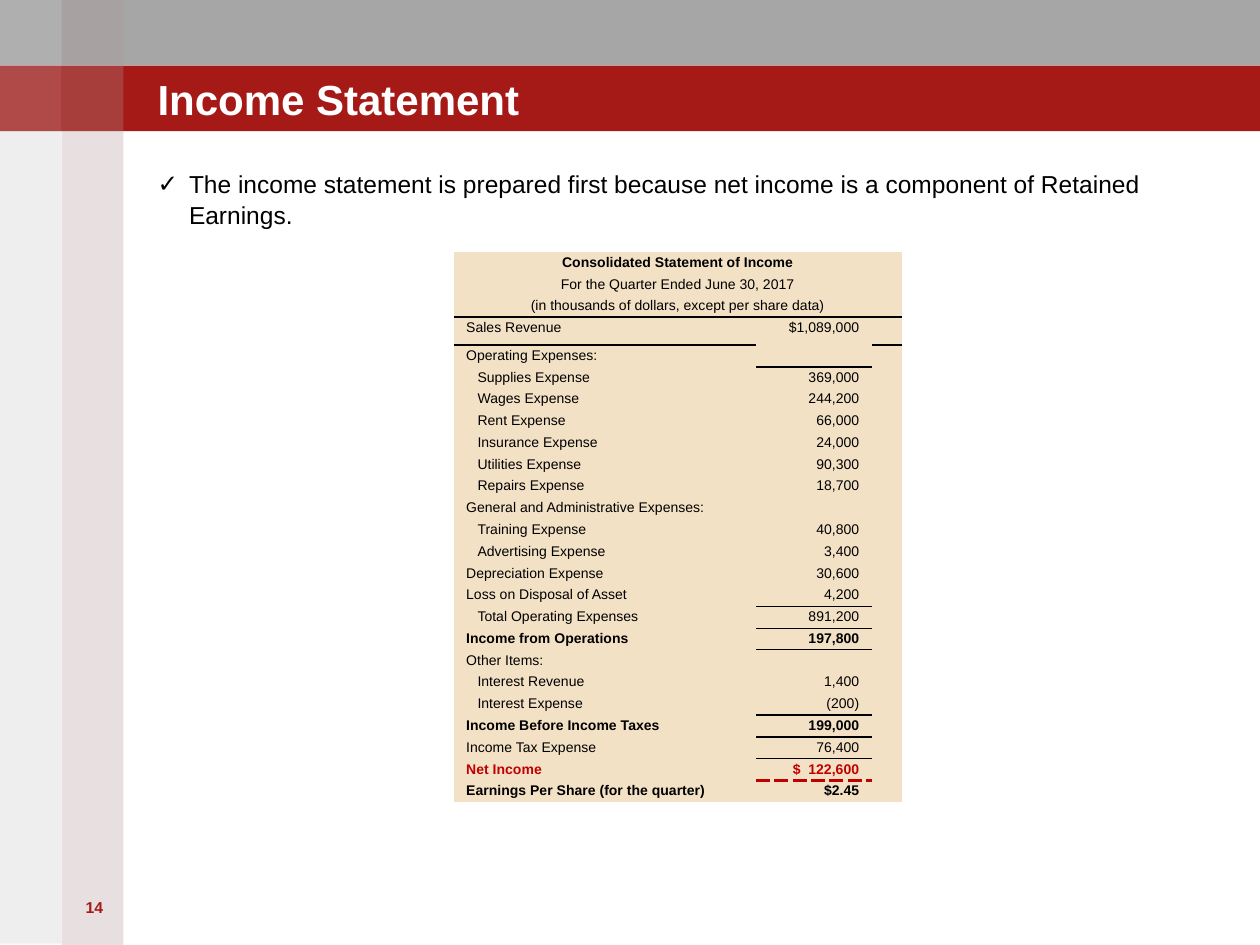
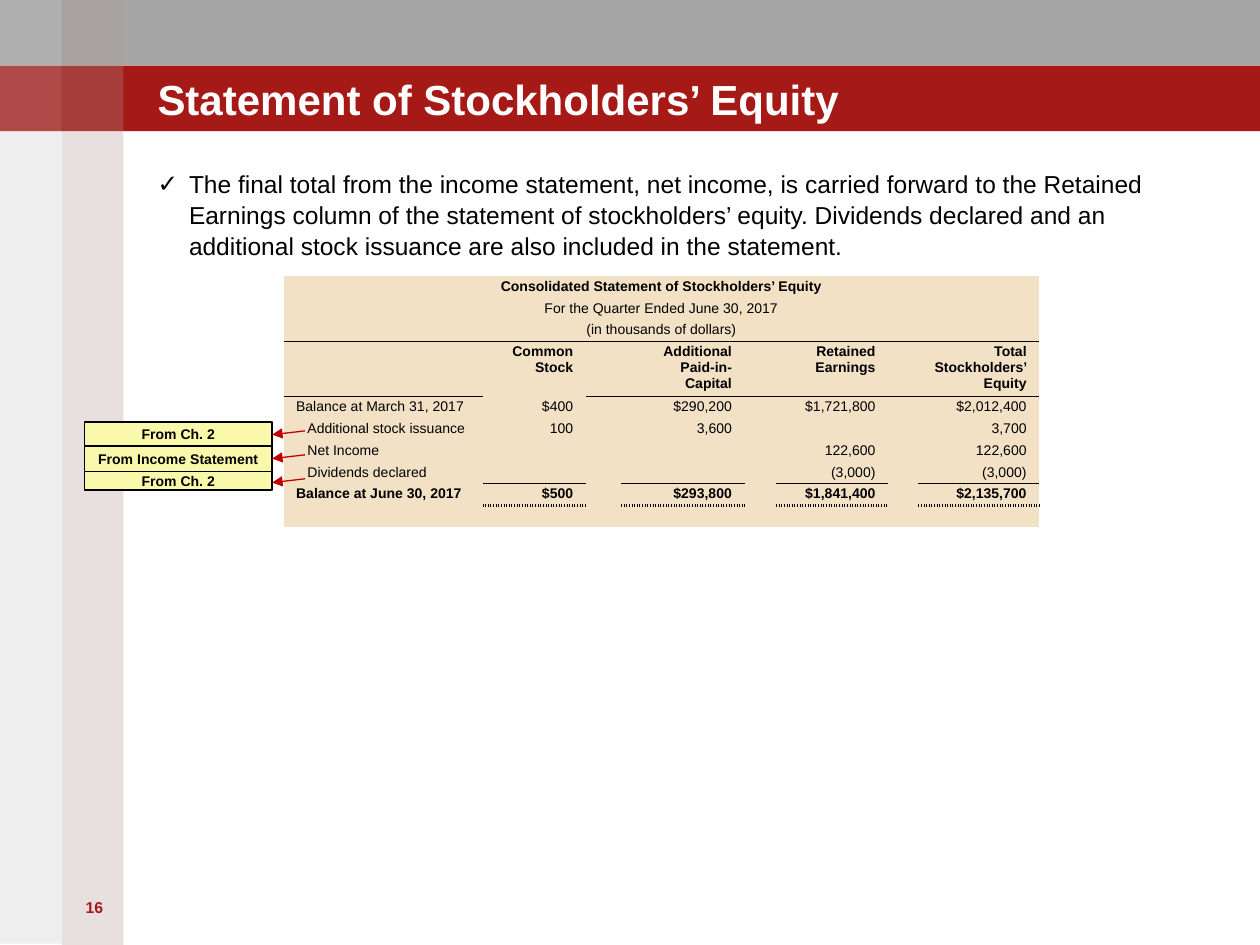
"""Builds two slides with an income statement and a statement of stockholders' equity."""
import pptx
import pptx.dml.color
import pptx.enum.shapes
import pptx.enum.text
import pptx.oxml.ns
import pptx.util
from lxml import etree

Inches = pptx.util.Inches
Pt = pptx.util.Pt
RGBColor = pptx.dml.color.RGBColor
qn = pptx.oxml.ns.qn
ALIGN = pptx.enum.text.PP_ALIGN
ANCHOR = pptx.enum.text.MSO_ANCHOR
RECT = pptx.enum.shapes.MSO_SHAPE.RECTANGLE

GREY = RGBColor(0xA6, 0xA6, 0xA6)
RED = RGBColor(0xA5, 0x1A, 0x17)
ROSE = RGBColor(0xA0, 0x82, 0x84)
ASH = RGBColor(0x93, 0x8F, 0x8F)
WHITE = RGBColor(0xFF, 0xFF, 0xFF)
BLACK = RGBColor(0, 0, 0)
SAND = RGBColor(0xF3, 0xE1, 0xC6)
YELLOW = RGBColor(0xFA, 0xF8, 0xAA)
ALERT = RGBColor(0xC0, 0, 0)
PLAIN = "{2D5ABB26-0587-4C30-8999-92F81FD0307C}"


def write(frame, text, size=8, bold=False, color=BLACK, align=ALIGN.LEFT,
          anchor=ANCHOR.TOP):
    """Put one formatted paragraph into a text frame."""
    frame.vertical_anchor = anchor
    para = frame.paragraphs[0]
    para.alignment = align
    if not text:
        etree.SubElement(para._p, qn("a:endParaRPr"), sz=str(size * 100))
        return para
    run = para.add_run()
    run.text = text
    run.font.name = "Arial"
    run.font.size = Pt(size)
    run.font.bold = bold
    run.font.color.rgb = color
    return para


def rule(cell, color, width, dash):
    """Draw the bottom border of a table cell."""
    line = etree.Element(qn("a:lnB"), w=str(Pt(width)))
    fill = etree.SubElement(line, qn("a:solidFill"))
    etree.SubElement(fill, qn("a:srgbClr"), val=str(color))
    etree.SubElement(line, qn("a:prstDash"), val=dash)
    cell._tc.get_or_add_tcPr().insert(0, line)


income = [
    ["Consolidated Statement of Income"],
    ["For the Quarter Ended June 30, 2017"],
    ["(in thousands of dollars, except per share data)"],
    ["Sales Revenue", "$1,089,000"],
    ["Operating Expenses:"],
    ["Supplies Expense", "369,000"],
    ["Wages Expense", "244,200"],
    ["Rent Expense", "66,000"],
    ["Insurance Expense", "24,000"],
    ["Utilities Expense", "90,300"],
    ["Repairs Expense", "18,700"],
    ["General and Administrative Expenses:"],
    ["Training Expense", "40,800"],
    ["Advertising Expense", "3,400"],
    ["Depreciation Expense", "30,600"],
    ["Loss on Disposal of Asset", "4,200"],
    ["Total Operating Expenses", "891,200"],
    ["Income from Operations", "197,800"],
    ["Other Items:"],
    ["Interest Revenue", "1,400"],
    ["Interest Expense", "(200)"],
    ["Income Before Income Taxes", "199,000"],
    ["Income Tax Expense", "76,400"],
    ["Net Income", "$  122,600"],
    ["Earnings Per Share (for the quarter)", "$2.45"],
]
equity = [
    ["Consolidated Statement of Stockholders’ Equity"],
    ["For the Quarter Ended June 30, 2017"],
    ["(in thousands of dollars)"],
    ["", "Common Stock", "Additional Paid-in-Capital", "Retained Earnings",
     "Total Stockholders’ Equity"],
    ["Balance at March 31, 2017", "$400", "$290,200", "$1,721,800", "$2,012,400"],
    ["Additional stock issuance", "100", "3,600", "", "3,700"],
    ["Net Income", "", "", "122,600", "122,600"],
    ["Dividends declared", "", "", "(3,000)", "(3,000)"],
    ["Balance at June 30, 2017", "$500", "$293,800", "$1,841,400", "$2,135,700"],
    [""],
]
pages = [
    dict(number="14", title="Income Statement",
         body="The income statement is prepared first because net income is a "
              "component of Retained Earnings.",
         left=3.6, top=2, cols=[2.4, 0.92, 0.23], rows=income,
         inset={5, 6, 7, 8, 9, 10, 12, 13, 16, 19, 20},
         bold={0, 17, 21, 23, 24}, red={23},
         rules=[([2], [0, 1, 2], BLACK, 1.5, "solid"),
                ([3], [0, 2], BLACK, 1, "solid"),
                ([4, 15, 20], [1], BLACK, 1, "solid"),
                ([16, 17, 21, 22], [1], BLACK, 0.75, "solid"),
                ([23], [1], ALERT, 1.5, "sysDash")]),
    dict(number="16", title="Statement of Stockholders’ Equity",
         body="The final total from the income statement, net income, is carried "
              "forward to the Retained Earnings column of the statement of "
              "stockholders’ equity. Dividends declared and an additional stock "
              "issuance are also included in the statement.",
         left=2.25, top=2.19, rows=equity,
         cols=[1.58, 0.82, 0.28, 0.98, 0.25, 0.89, 0.23, 0.96],
         inset={5, 6, 7}, bold={0, 3, 8}, red=set(),
         rules=[([2], range(8), BLACK, 1, "solid"),
                ([3], [0, 2, 3, 4, 5, 6, 7], BLACK, 1, "solid"),
                ([7], [1, 3, 5, 7], BLACK, 1, "solid"),
                ([8], [1, 3, 5, 7], BLACK, 1.5, "dot")]),
]
bands = [
    (0, 0, 10, 0.52, GREY, 100),
    (0, 0.52, 10, 0.52, RED, 100),
    (0.49, 0, 0.49, 7.5, ROSE, 25),
    (0, 0, 0.49, 7.49, ASH, 15),
]
for y in (0, 0.52):
    bands += [(0.49, y, 0.49, 0.52, WHITE, 5), (0, y, 0.49, 0.52, WHITE, 15)]

deck = pptx.Presentation()
deck.slide_width = Inches(10)
deck.slide_height = Inches(7.5)
layout = deck.slide_layouts[1]

for page in pages:
    slide = deck.slides.add_slide(layout)
    title, body = slide.placeholders
    for holder, box in ((title, (1.25, 0.31, 8.25, 0.67)),
                        (body, (1.25, 1.33, 8, 5.58))):
        holder.left, holder.top, holder.width, holder.height = map(Inches, box)
        frame = holder.text_frame
        frame.margin_left = frame.margin_right = 0
        frame.margin_top = frame.margin_bottom = 0
        frame.word_wrap = True
        frame.auto_size = pptx.enum.text.MSO_AUTO_SIZE.NONE
    write(title.text_frame, page["title"], size=24, bold=True, color=WHITE,
          anchor=ANCHOR.BOTTOM)
    para = write(body.text_frame, page["body"], size=14)
    para.space_before = Pt(0)
    para.line_spacing = 1.05
    props = para._p.get_or_add_pPr()
    props.set("marL", str(Inches(0.25)))
    props.set("indent", str(Inches(-0.25)))
    etree.SubElement(props, qn("a:buChar"), char="✓")

    box = slide.shapes.add_textbox(Inches(0.5), Inches(7.08), Inches(0.5), Inches(0.56))
    box.text_frame.word_wrap = True
    write(box.text_frame, page["number"], size=9, bold=True, color=RED,
          align=ALIGN.CENTER)

    rows, cols = page["rows"], page["cols"]
    holder = slide.shapes.add_table(
        len(rows), len(cols), Inches(page["left"]), Inches(page["top"]),
        Inches(sum(cols)), Pt(12 * len(rows)))
    table = holder.table
    table.first_row = table.horz_banding = False
    for style in holder.element.iter(qn("a:tableStyleId")):
        style.text = PLAIN
    for col, width in zip(table.columns, cols):
        col.width = Inches(width)
    for r, row in enumerate(rows):
        table.rows[r].height = Inches(0.22) if r == 3 else Pt(12)
        texts = {max(0, 2 * i - 1): text for i, text in enumerate(row)}
        for c in range(len(cols)):
            cell = table.cell(r, c)
            cell.fill.solid()
            cell.fill.fore_color.rgb = SAND
            cell.margin_left = Inches(0.19 if c == 0 and r in page["inset"] else 0.1)
            cell.margin_right = Inches(0.1)
            cell.margin_top = cell.margin_bottom = Inches(0.02)
            side = ALIGN.CENTER if r < 3 else ALIGN.RIGHT if c else ALIGN.LEFT
            write(cell.text_frame, texts.get(c, ""), bold=r in page["bold"],
                  color=ALERT if r in page["red"] else BLACK, align=side)
        if r < 3:
            table.cell(r, 0).merge(table.cell(r, len(cols) - 1))
    for lines, spots, color, width, dash in page["rules"]:
        for r in lines:
            for c in spots:
                rule(table.cell(r, c), color, width, dash)

for i, (x, y, w, h, color, alpha) in enumerate(bands):
    band = slide.shapes.add_shape(RECT, Inches(x), Inches(y), Inches(w), Inches(h))
    band.shadow.inherit = False
    band.fill.solid()
    band.fill.fore_color.rgb = color
    band.line.fill.background()
    tint = band.element.spPr.find(qn("a:solidFill"))[0]
    etree.SubElement(tint, qn("a:alpha"), val=str(alpha * 1000))
    band.element.nvSpPr.cNvPr.set("id", str(20 + i))
    layout.shapes.element.insert(2 + i, band.element)

notes = [("From Ch. 2", 3.35, 0.19), ("From Income Statement", 3.54, 0.2),
         ("From Ch. 2", 3.74, 0.15)]
for i, (text, y, h) in enumerate(notes):
    note = slide.shapes.add_shape(RECT, Inches(0.67), Inches(y), Inches(1.49), Inches(h))
    note.shadow.inherit = False
    note.fill.solid()
    note.fill.fore_color.rgb = YELLOW
    note.line.color.rgb = BLACK
    note.line.width = Pt(0.75)
    note.text_frame.margin_top = note.text_frame.margin_bottom = 0
    write(note.text_frame, text, bold=True, align=ALIGN.CENTER, anchor=ANCHOR.MIDDLE)

    start = 3.42 + 0.19 * i
    arrow = slide.shapes.add_connector(
        pptx.enum.shapes.MSO_CONNECTOR.STRAIGHT,
        Inches(2.42), Inches(start), Inches(2.16), Inches(start + 0.03))
    arrow.line.color.rgb = ALERT
    arrow.line.width = Pt(0.75)
    etree.SubElement(arrow.line._get_or_add_ln(), qn("a:tailEnd"), type="triangle")
    etree.SubElement(arrow.element.spPr, qn("a:effectLst"))

deck.save("out.pptx")
